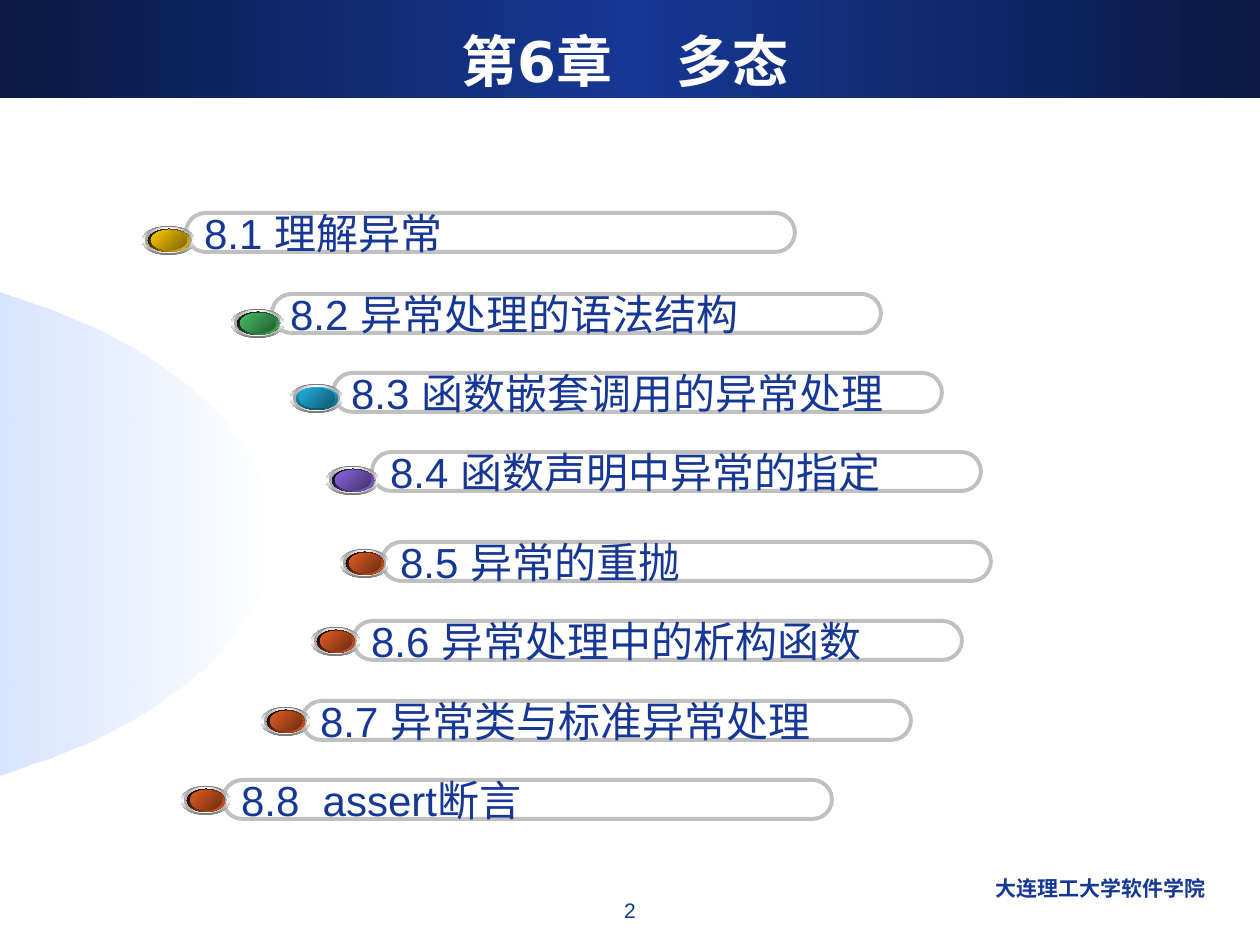
import math
from lxml import etree
from pptx import Presentation
from pptx import util as u
from pptx.dml.color import RGBColor
from pptx.enum import shapes as sh, text as tx
from pptx.oxml.ns import qn

PX = 914400 // 126
HEX = {"navy": "163794", "night": "0A1944", "white": "FFFFFF", "sky": "6699FF",
       "line": "C0C0C0", "steel": "767676", "ash": "A2A2A2", "black": "000000",
       "gold": "FFCC00", "bronze": "7C6300", "green": "48BE67", "moss": "235C32",
       "cyan": "21B3E1", "teal": "10576D", "violet": "8D67E1", "plum": "45326D",
       "orange": "E35E23", "rust": "6E2E11"}


def blend(shape, names, angle, alphas=None):
    """Fill a shape with evenly spaced colour stops and no outline."""
    shape.shadow.inherit = False
    shape.line.fill.background()
    shape.fill.gradient()
    grad = shape.fill._xPr.find(qn("a:gradFill"))
    stops = grad.find(qn("a:gsLst"))
    for old in list(stops):
        stops.remove(old)
    for i, name in enumerate(names):
        stop = etree.SubElement(stops, qn("a:gs"), pos=str(100000 * i // (len(names) - 1)))
        color = etree.SubElement(stop, qn("a:srgbClr"), val=HEX[name])
        if alphas:
            etree.SubElement(color, qn("a:alpha"), val=str(alphas[i] * 1000))
    grad.find(qn("a:lin")).set("ang", str(angle * 60000))


def write(shape, words, size, color, align, font="Arial", bold=False):
    """Put one styled line of text into a shape."""
    para = shape.text_frame.paragraphs[0]
    para.text = words
    para.alignment = align
    para.font.name = font
    para.font.size = u.Pt(size)
    para.font.bold = bold
    para.font.color.rgb = RGBColor.from_string(HEX[color])


deck = Presentation()
deck.slide_width, deck.slide_height = 1260 * PX, 945 * PX
slide = deck.slides.add_slide(deck.slide_layouts[6])
parts = slide.shapes

# Title band
band = parts.add_shape(sh.MSO_SHAPE.RECTANGLE, 0, 0, 1260 * PX, 98 * PX)
blend(band, ["night", "navy", "night"], 0)

# Title, page number and school
left, mid, right = tx.PP_ALIGN.LEFT, tx.PP_ALIGN.CENTER, tx.PP_ALIGN.RIGHT
for words, box, size, color, align, font, bold in [
        ("2", (483, 891, 294, 44), 12, "navy", mid, "Arial", False),
        ("第6章     多态", (42, 21, 1166, 78), 32, "white", mid, "DejaVu Sans", True),
        ("大连理工大学软件学院", (819, 869, 399, 44), 12, "navy", right, "Arial", True)]:
    label = parts.add_textbox(*(n * PX for n in box))
    label.text_frame.word_wrap = True
    if size == 32:
        label.text_frame.vertical_anchor = tx.MSO_ANCHOR.MIDDLE
    write(label, words, size, color, align, font, bold)

# Half ellipse at the left edge
arc = [(round(-271 + 542 * math.cos(math.radians(d))),
        round(534 + 278 * math.sin(math.radians(d)))) for d in range(-90, 91, 2)]
pen = parts.build_freeform(*arc[0], scale=PX)
pen.add_line_segments(arc[1:], close=True)
blend(pen.convert_to_shape(), ["sky", "white"], 0, [56, 48])

# Chapter list: words, bar corner, bullet corner and width, bullet colours
rows = [
    ("8.1 理解异常", 186, 213, 142, 226, 53, "gold", "bronze"),
    ("8.2 异常处理的语法结构", 272, 294, 231, 309, 53, "green", "moss"),
    ("8.3 函数嵌套调用的异常处理", 333, 373, 290, 384, 53, "cyan", "teal"),
    ("8.4 函数声明中异常的指定", 372, 452, 326, 466, 53, "violet", "plum"),
    ("8.5 异常的重抛", 382, 542, 340, 549, 49, "orange", "rust"),
    ("8.6 异常处理中的析构函数", 353, 621, 311, 627, 49, "orange", "rust"),
    ("8.7 异常类与标准异常处理", 302, 701, 261, 707, 49, "orange", "rust"),
    ("8.8  assert断言", 223, 780, 181, 786, 49, "orange", "rust"),
]
for words, x, y, dotx, doty, wide, light, dark in rows:
    # Bar
    bar = parts.add_shape(sh.MSO_SHAPE.ROUNDED_RECTANGLE, x * PX, y * PX, 609 * PX, 39 * PX)
    bar.adjustments[0] = 0.5
    bar.shadow.inherit = False
    bar.fill.background()
    bar.line.color.rgb = RGBColor.from_string(HEX["line"])
    bar.line.width = u.Pt(2.25)
    bar.text_frame.word_wrap = False
    bar.text_frame.vertical_anchor = tx.MSO_ANCHOR.MIDDLE
    write(bar, words, 24, "navy", left)

    # Bullet: two metal rings, a rim and a face
    rim = (["cyan", "teal"], 90) if light == "cyan" else (["black", light], 45)
    rings = [(["steel", "white", "steel"], 90), (["ash", "white", "ash"], 0),
             rim, ([light, dark], 45)]
    dot = parts.add_group_shape()
    for i, (names, angle) in enumerate(rings):
        ring = dot.shapes.add_shape(
            sh.MSO_SHAPE.OVAL, (dotx + 3 * i) * PX, (doty + (0, 1, 3, 4)[i]) * PX,
            (wide - (0, 6, 11, 17)[i]) * PX, (29 - 3 * i) * PX)
        blend(ring, names, angle)

deck.save("out.pptx")
